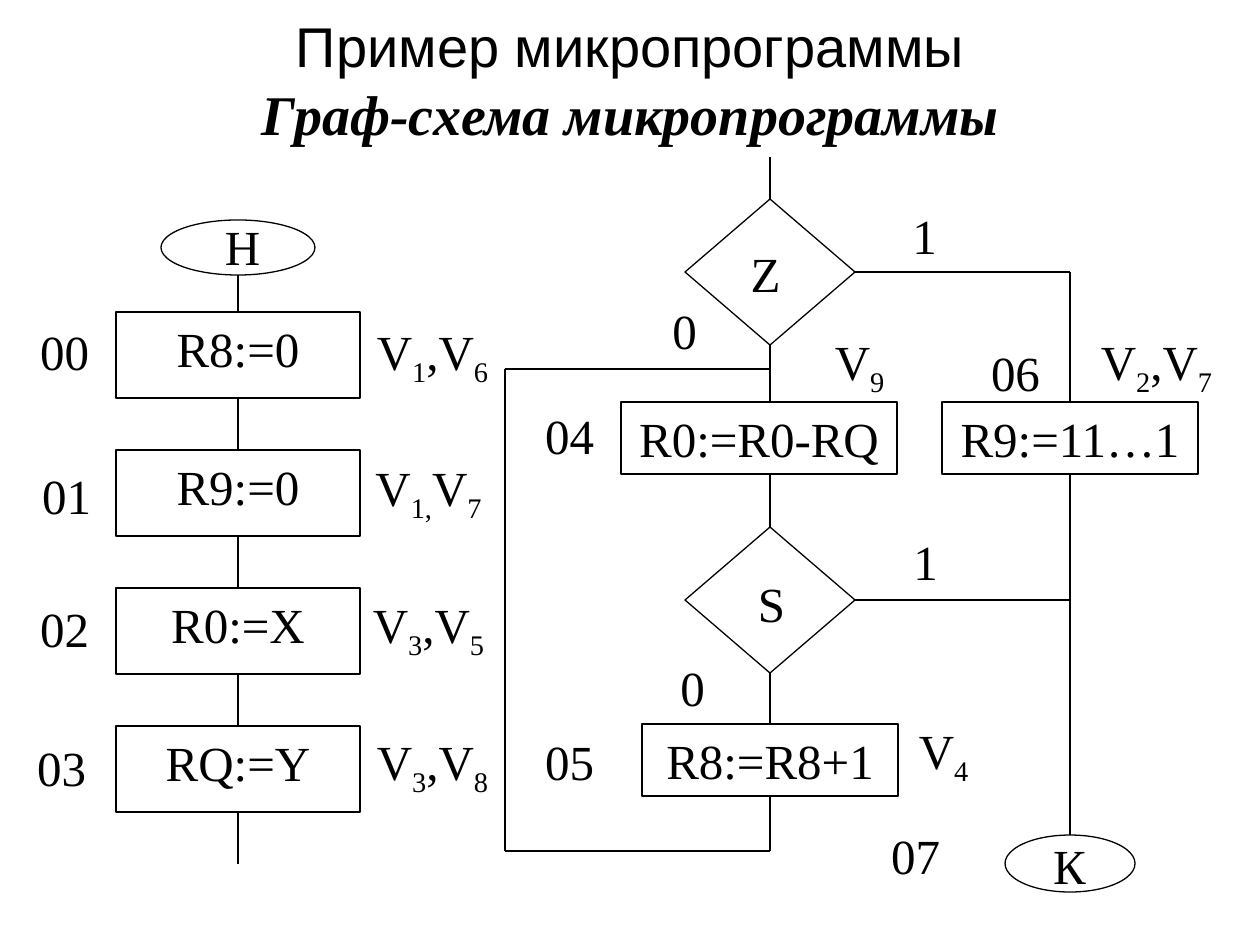
from lxml.etree import SubElement
from pptx import Presentation
from pptx.dml.color import RGBColor
from pptx.enum.shapes import MSO_CONNECTOR, MSO_SHAPE
from pptx.enum.text import MSO_ANCHOR, PP_ALIGN
from pptx.oxml.ns import qn
from pptx.util import Emu, Pt

PX_PER_INCH = 126
TOP, LEFT, BOTTOM, RIGHT = range(4)
BLACK = "000000"


def px(length):
    return Emu(round(length * 914400 / PX_PER_INCH))


def color(hex_string):
    return RGBColor.from_string(hex_string)


def write(paragraph, text, size=28, font="Times New Roman", bold=False, italic=False):
    """Add text as runs; parts between underscores become subscripts."""
    paragraph.alignment = PP_ALIGN.CENTER
    for index, part in enumerate(text.split("_")):
        if not part:
            continue
        run = paragraph.add_run()
        run.text = part
        run.font.size = Pt(size)
        run.font.name = font
        run.font.bold = bold
        run.font.italic = italic
        run.font.color.rgb = color(BLACK)
        if index % 2:
            run.font._element.set("baseline", "-25000")


class Flowchart:
    """Holds the slide and the line style of the chart drawn on it."""

    def __init__(self, slide, line_color=BLACK, line_width=0.75):
        self.slide = slide
        self.line_color = line_color
        self.line_width = line_width

    def style_line(self, line):
        line.color.rgb = color(self.line_color)
        line.width = Pt(self.line_width)

    def text_box(self, left, top, width, height, anchor=MSO_ANCHOR.TOP):
        box = self.slide.shapes.add_textbox(px(left), px(top), px(width), px(height))
        box.text_frame.word_wrap = True
        box.text_frame.vertical_anchor = anchor
        return box.text_frame.paragraphs[0]

    def title(self, first_line, second_line):
        paragraph = self.text_box(95, 0, 1071, 158, anchor=MSO_ANCHOR.MIDDLE)
        write(paragraph, first_line, size=32, font="Arial")
        paragraph.add_line_break()
        write(paragraph, second_line, size=32, bold=True, italic=True)

    def label(self, text, left, top, width=173, height=63):
        write(self.text_box(left, top, width, height), text)

    def wide_label(self, text, left, top):
        self.label(text, left, top, width=207, height=76)

    def node(self, kind, left, top, width, height, text=""):
        shape = self.slide.shapes.add_shape(
            kind, px(left), px(top), px(width), px(height))
        shape.shadow.inherit = False
        shape.fill.background()
        self.style_line(shape.line)
        frame = shape.text_frame
        frame.word_wrap = True
        frame.vertical_anchor = MSO_ANCHOR.TOP
        if text:
            write(frame.paragraphs[0], text)
        return shape

    def operation(self, text, left, top, width, height=72):
        return self.node(MSO_SHAPE.RECTANGLE, left, top, width, height, text)

    def condition(self, left, top):
        return self.node(MSO_SHAPE.DIAMOND, left, top, 170, 146)

    def terminal(self, left, top, width, height):
        return self.node(MSO_SHAPE.OVAL, left, top, width, height)

    def line(self, start, finish, source=None, target=None):
        """Draw from start to finish; source and target are (shape, side) to join."""
        connector = self.slide.shapes.add_connector(
            MSO_CONNECTOR.STRAIGHT, *(px(value) for value in start + finish))
        self.style_line(connector.line)
        SubElement(connector._element.spPr, qn("a:effectLst"))
        if source:
            connector.begin_connect(*source)
        if target:
            connector.end_connect(*target)


def draw_setup_column(chart):
    axis, first_top, step, height = 238, 312, 138, 86
    chart.terminal(161, 220, 154, 55)
    chart.wide_label("Н", 139, 210)

    rows = [
        ("00", -39, 315, "R8:=0", "V_1_,V_6_", 329, 315),
        ("01", -37, 459, "R9:=0", "V_1,_V_7_", 325, 451),
        ("02", -39, 592, "R0:=X", "V_3_,V_5_", 325, 588),
        ("03", -42, 731, "RQ:=Y", "V_3_,V_8_", 329, 725),
    ]
    previous = None
    previous_bottom = 275
    for index, row in enumerate(rows):
        address, address_left, address_top, text, signals, left, signals_top = row
        top = first_top + index * step
        operation = chart.operation(text, 116, top, 244, height)
        chart.line((axis, previous_bottom), (axis, top), previous, (operation, TOP))
        chart.wide_label(address, address_left, address_top)
        chart.wide_label(signals, left, signals_top)
        previous, previous_bottom = (operation, BOTTOM), top + height
    chart.line((axis, previous_bottom), (axis, 864), previous)


def draw_loop(chart):
    axis, exit_axis, return_axis = 770, 1070, 505
    loop_top, loop_bottom = 369, 851

    zero_test = chart.condition(685, 199)
    sign_test = chart.condition(685, 527)
    subtract = chart.operation("R0:=R0-RQ", 621, 402, 276)
    increment = chart.operation("R8:=R8+1", 642, 724, 256)
    fill_ones = chart.operation("R9:=11…1", 942, 402, 256)
    end = chart.terminal(1005, 835, 130, 57)

    chart.line((axis, 157), (axis, 199), target=(zero_test, TOP))
    chart.line((axis, 345), (axis, 402), source=(zero_test, BOTTOM))
    chart.line((axis, 474), (axis, 527), target=(sign_test, TOP))
    chart.line((axis, 673), (axis, 724), (sign_test, BOTTOM), (increment, TOP))
    chart.line((axis, 796), (axis, loop_bottom), source=(increment, BOTTOM))
    chart.line((axis, loop_bottom), (return_axis, loop_bottom))
    chart.line((return_axis, loop_bottom), (return_axis, loop_top))
    chart.line((return_axis, loop_top), (axis, loop_top))

    chart.line((855, 272), (exit_axis, 272), source=(zero_test, RIGHT))
    chart.line((exit_axis, 272), (exit_axis, 402), target=(fill_ones, TOP))
    chart.line((855, 600), (exit_axis, 600), source=(sign_test, RIGHT))
    chart.line((exit_axis, 474), (exit_axis, 835), (fill_ones, BOTTOM), (end, TOP))

    for text, left, top in [
        ("Z", 679, 237), ("S", 685, 567), ("К", 983, 829),
        ("1", 838, 199), ("0", 598, 294), ("1", 839, 525), ("0", 606, 651),
        ("04", 483, 399), ("05", 483, 725), ("06", 929, 336), ("07", 829, 819),
    ]:
        chart.label(text, left, top)
    for text, left, top in [
        ("V_9_", 756, 325), ("V_2_,V_7_", 1053, 325), ("V_4_", 840, 714),
    ]:
        chart.wide_label(text, left, top)


def main():
    presentation = Presentation()
    presentation.slide_width = px(1260)
    presentation.slide_height = px(945)
    chart = Flowchart(presentation.slides.add_slide(presentation.slide_layouts[6]))
    chart.title("Пример микропрограммы", "Граф-схема микропрограммы")
    draw_setup_column(chart)
    draw_loop(chart)
    presentation.save("out.pptx")


if __name__ == "__main__":
    main()
